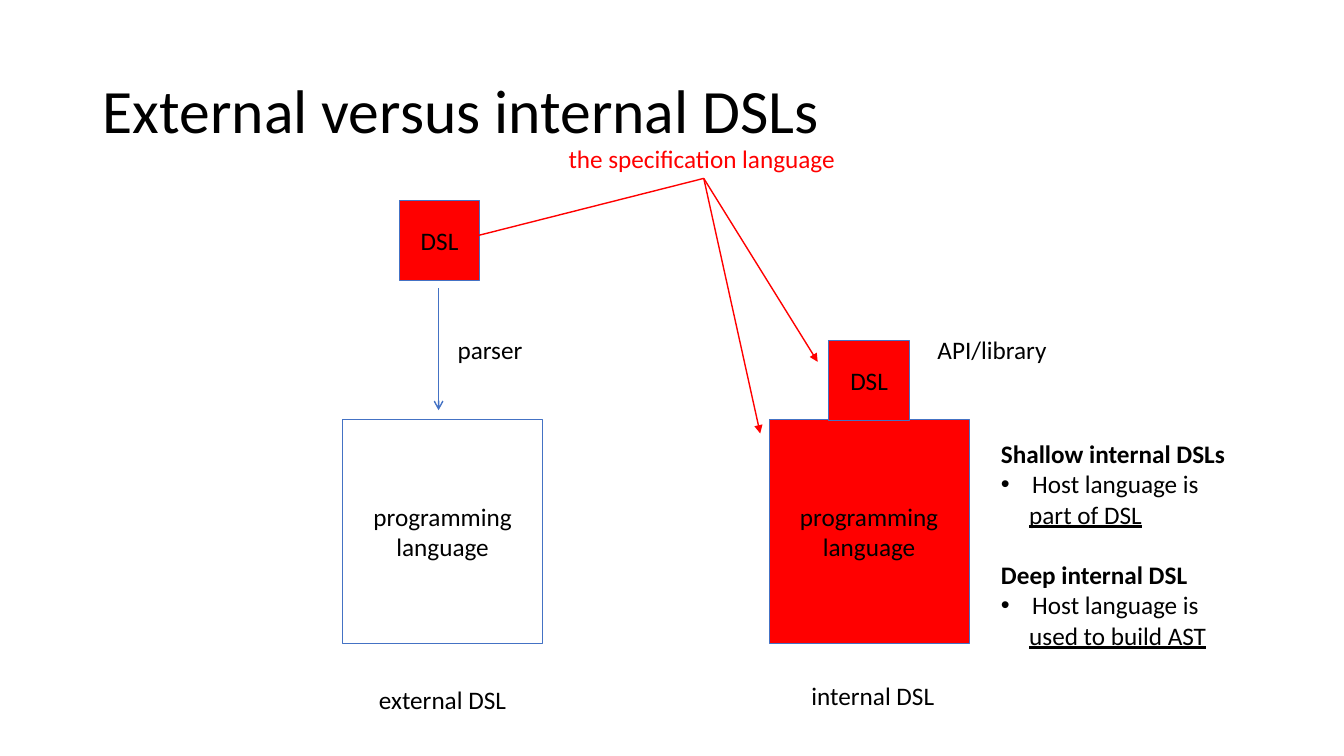
from lxml.etree import SubElement
from pptx import Presentation
from pptx.dml.color import RGBColor
from pptx.enum.shapes import MSO_CONNECTOR, MSO_SHAPE
from pptx.enum.text import MSO_ANCHOR, PP_ALIGN
from pptx.oxml.ns import qn
from pptx.util import Inches, Pt

BLACK, WHITE, RED, BLUE = "000000", "FFFFFF", "FF0000", "4472C4"


def paint(color, code):
    """Set a colour from a hex string."""
    color.rgb = RGBColor.from_string(code)


class Page:
    """Hold the style and the current slide."""

    face = "Calibri"
    size = 18

    def __init__(self, deck):
        """Add a slide with a title only."""
        self.slide = deck.slides.add_slide(deck.slide_layouts[5])

    def style(self, para, code=BLACK, size=None, bold=False, under=False):
        """Format the runs of a paragraph."""
        for run in para.runs:
            font = run.font
            font.name, font.size = self.face, Pt(size or self.size)
            font.bold, font.underline = bold, under
            paint(font.color, code)

    def title(self, text, *area):
        """Place and format the title."""
        head = self.slide.shapes.title
        head.left, head.top, head.width, head.height = map(Inches, area)
        frame = head.text_frame
        frame.text = text
        frame.vertical_anchor = MSO_ANCHOR.MIDDLE
        para = frame.paragraphs[0]
        para.alignment, para.line_spacing = PP_ALIGN.LEFT, 0.9
        self.style(para, size=44)

    def box(self, text, fill, *area):
        """Draw a rectangle with centred text."""
        shape = self.slide.shapes.add_shape(
            MSO_SHAPE.RECTANGLE, *map(Inches, area))
        shape.shadow.inherit = False
        shape.fill.solid()
        paint(shape.fill.fore_color, fill)
        paint(shape.line.color, BLUE)
        shape.line.width = Pt(0.5)
        frame = shape.text_frame
        frame.text = text
        frame.vertical_anchor = MSO_ANCHOR.MIDDLE
        for para in frame.paragraphs:
            para.alignment = PP_ALIGN.CENTER
            self.style(para)

    def label(self, text, *area, code=BLACK):
        """Add a text box."""
        shape = self.slide.shapes.add_textbox(*map(Inches, area))
        frame = shape.text_frame
        frame.word_wrap = False
        frame.text = text
        for para in frame.paragraphs:
            self.style(para, code)
        return shape

    def indent(self, para, left, hang=0, mark=None):
        """Indent a paragraph, with a bullet if a mark is given."""
        props = para._p.get_or_add_pPr()
        props.set("marL", str(Inches(left)))
        props.set("indent", str(-Inches(hang)))
        if mark:
            SubElement(props, qn("a:buFont")).set("typeface", "Arial")
            SubElement(props, qn("a:buChar")).set("char", mark)

    def notes(self, groups, *area):
        """List groups of a heading, a bullet and an underlined line."""
        text = "\n".join(line for group in groups for line in group)
        paras = self.label(text, *area).text_frame.paragraphs
        for start in range(0, len(paras), 3):
            head, item, key = paras[start:start + 3]
            if start:
                head.space_before = Pt(21.6)
            self.style(head, bold=True)
            self.indent(item, 0.31, 0.31, "•")
            self.indent(key, 0.28)
            self.style(key, under=True)

    def arrow(self, start, end, code, tip, source=None):
        """Draw an arrow, joined to the bottom of its source if given."""
        link = self.slide.shapes.add_connector(
            MSO_CONNECTOR.STRAIGHT, *map(Inches, start + end))
        if source:
            link.begin_connect(source, 2)
        paint(link.line.color, code)
        link.line.width = Pt(1)
        SubElement(link.line._get_or_add_ln(), qn("a:tailEnd")).set("type", tip)
        SubElement(link._element.spPr, qn("a:effectLst"))


def main():
    """Build the slide."""
    deck = Presentation()
    deck.slide_width, deck.slide_height = Inches(13.33), Inches(7.5)
    page = Page(deck)
    page.title("External versus internal DSLs", 0.92, 0.4, 11.5, 1.45)

    host = "programming\nlanguage"
    page.box(host, WHITE, 3.4, 4.16, 1.98, 2.22)
    page.box("DSL", RED, 3.96, 1.99, 0.8, 0.79)
    page.arrow((4.35, 2.86), (4.35, 4.07), BLUE, "arrow")
    page.label("parser", 4.44, 3.27, 0.86, 0.4)
    page.label("external DSL", 3.66, 6.74, 1.49, 0.4)

    page.box(host, RED, 7.63, 4.16, 1.98, 2.22)
    page.box("DSL", RED, 8.22, 3.38, 0.8, 0.79)
    page.label("internal DSL", 7.95, 6.7, 1.43, 0.4)
    page.label("API/library", 9.2, 3.27, 1.3, 0.4)

    spec = page.label("the specification language",
                      5.54, 1.37, 2.88, 0.4, code=RED)
    for end in ((4.57, 2.38), (8.11, 3.59), (7.54, 4.3)):
        page.arrow((6.98, 1.77), end, RED, "triangle", spec)

    page.notes((
        ("Shallow internal DSLs", "Host language is", "part of DSL"),
        ("Deep internal DSL", "Host language is", "used to build AST"),
    ), 9.83, 4.3, 2.44, 2.22)
    deck.save("out.pptx")


if __name__ == "__main__":
    main()
